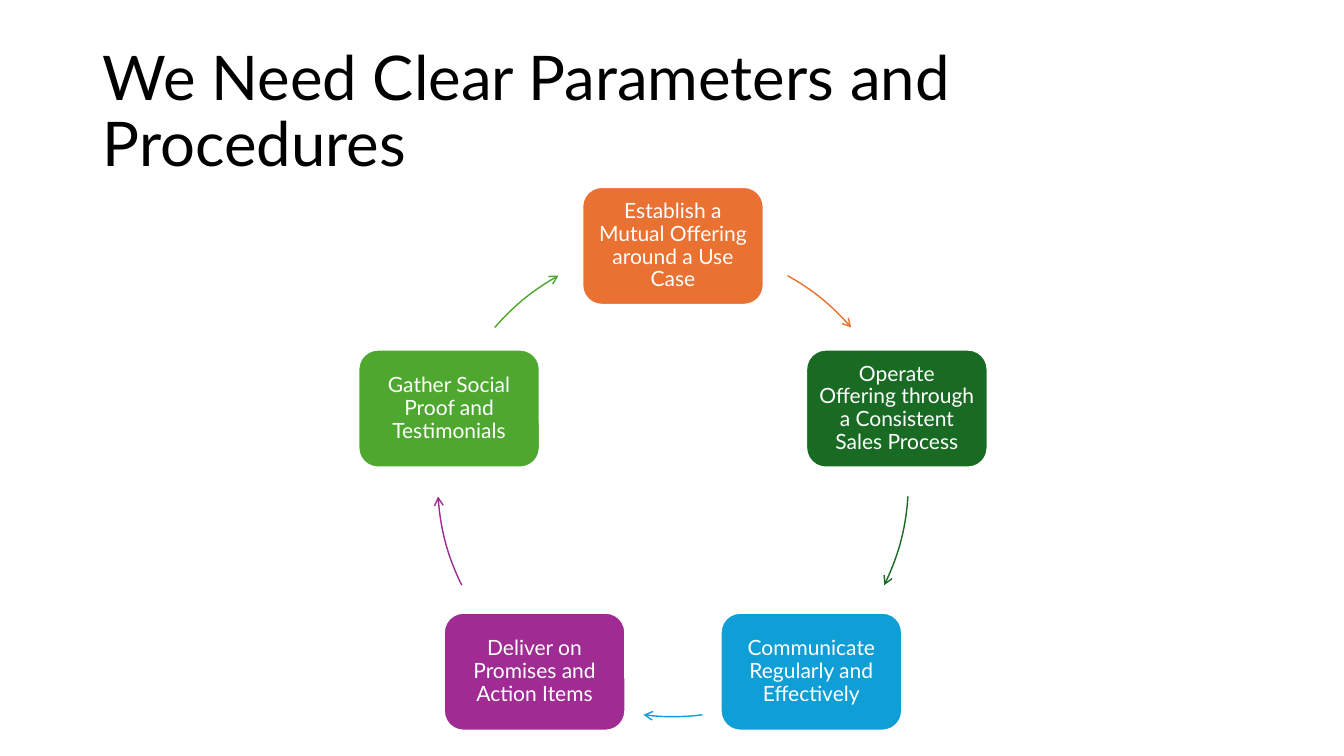
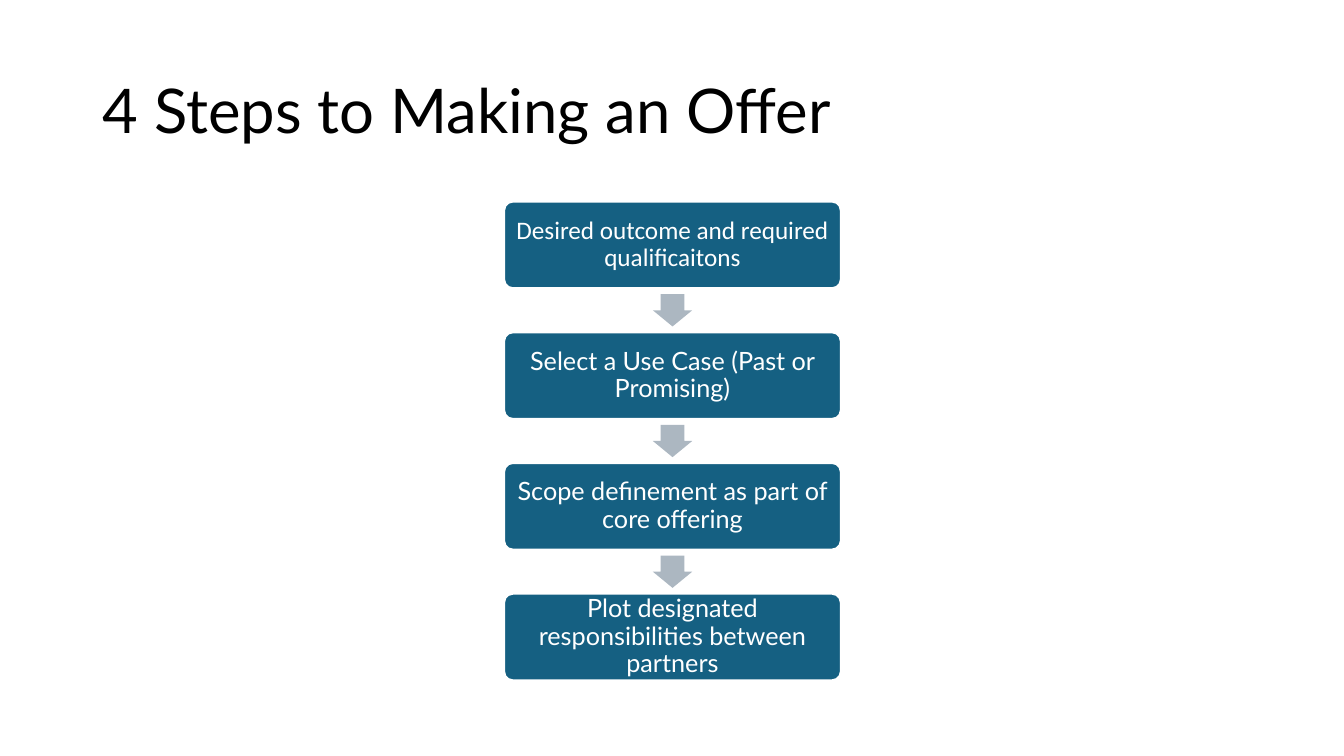
from dataclasses import dataclass
from math import cos, radians, sin

from lxml.etree import SubElement
from pptx import Presentation
from pptx.dml.color import RGBColor
from pptx.enum.shapes import MSO_SHAPE as Preset
from pptx.enum.text import MSO_ANCHOR as Anchor, MSO_AUTO_SIZE as AutoSize, PP_ALIGN as Align
from pptx.oxml.ns import qn
from pptx.util import Inches, Pt


@dataclass(frozen=True)
class Theme:
    font: str = "Lato"
    alternate_font: str = "Calibri"
    ink: str = "000000"
    white: str = "FFFFFF"
    orange: str = "E97132"
    dark_green: str = "196B24"
    blue: str = "0F9ED5"
    purple: str = "A02B93"
    green: str = "4EA72E"
    teal: str = "156082"
    grey: str = "ACB7C1"
    title_size: int = 44
    cycle_size: int = 15
    step_size: int = 18
    line_spacing: float = 0.9
    outline: float = 1.5
    arc_width: float = 1


THEME = Theme()
TITLE_BOX = (0.92, 0.4, 11.5, 1.45)
CYCLE_BOX = (4.34, 2.44, 4.67, 4.67)
STEPS_BOX = (5, 2, 3.34, 4.75)

CYCLE = [
    ("Establish a Mutual Offering around a Use Case", THEME.orange, 29.1, 49.2),
    ("Operate Offering through a Consistent Sales Process", THEME.dark_green, 93.7, 116.2),
    ("Communicate Regularly and Effectively", THEME.blue, 172.8, 187.2),
    ("Deliver on Promises and Action Items", THEME.purple, 243.8, 266.3),
    ("Gather Social Proof and Testimonials", THEME.green, 310.8, 330.9),
]
STEPS = [
    ("Desired outcome and required qualificaitons", THEME.alternate_font),
    ("Select a Use Case (Past or Promising)", THEME.font),
    ("Scope definement as part of core offering", THEME.font),
    ("Plot designated responsibilities between partners", THEME.font),
]


def write_text(shape, text, size, color=THEME.white, font=THEME.font, align=Align.CENTER, inset=None):
    frame = shape.text_frame
    frame.word_wrap = True
    frame.auto_size = AutoSize.NONE
    frame.vertical_anchor = Anchor.MIDDLE
    if inset is not None:
        frame.margin_left = frame.margin_right = Inches(inset)
        frame.margin_top = frame.margin_bottom = Inches(inset)
    paragraph = frame.paragraphs[0]
    paragraph.alignment = align
    paragraph.line_spacing = THEME.line_spacing
    run = paragraph.add_run()
    run.text = text
    run.font.name = font
    run.font.size = Pt(size)
    run.font.color.rgb = RGBColor.from_string(color)


def add_preset(slide, preset, box, fill=None, line=None, line_width=THEME.outline, adjustments=()):
    shape = slide.shapes.add_shape(preset, *map(Inches, box))
    shape.shadow.inherit = False
    for index, value in enumerate(adjustments):
        shape.adjustments[index] = value
    for target, color in ((shape.fill, fill), (shape.line.fill, line)):
        if color:
            target.solid()
            target.fore_color.rgb = RGBColor.from_string(color)
        else:
            target.background()
    if line:
        shape.line.width = Pt(line_width)
    return shape


def add_titled_slide(presentation, text):
    slide = presentation.slides.add_slide(presentation.slide_layouts[5])
    title = slide.shapes.title
    title.left, title.top, title.width, title.height = map(Inches, TITLE_BOX)
    write_text(title, text, THEME.title_size, color=THEME.ink, align=Align.LEFT)
    return slide


def add_arc_arrow(slide, box, start, end, color):
    angles = [(angle - 90) % 360 * 0.6 for angle in (start, end)]
    arc = add_preset(slide, Preset.ARC, box, line=color, line_width=THEME.arc_width, adjustments=angles)
    outline = arc.element.spPr.find(qn("a:ln"))
    SubElement(outline, qn("a:tailEnd"), type="arrow")


def add_cycle(slide, box, items, node_width=1.8, node_height=1.17):
    left, top, width, height = box
    for index, (text, color, start, end) in enumerate(items):
        angle = radians(360 / len(items) * index)
        center_x = left + width / 2 * (1 + sin(angle))
        center_y = top + height / 2 * (1 - cos(angle))
        node_box = (center_x - node_width / 2, center_y - node_height / 2, node_width, node_height)
        node = add_preset(slide, Preset.ROUNDED_RECTANGLE, node_box, fill=color, line=THEME.white)
        write_text(node, text, THEME.cycle_size, inset=0.06)
        add_arc_arrow(slide, box, start, end, color)


def add_steps(slide, box, items, step_height=0.86, arrow_width=0.39, arrow_height=0.32):
    left, top, width, height = box
    pitch = (height - step_height) / (len(items) - 1)
    for index, (text, font) in enumerate(items):
        step_top = top + index * pitch
        step = add_preset(slide, Preset.ROUNDED_RECTANGLE, (left, step_top, width, step_height),
                          fill=THEME.teal, line=THEME.white, adjustments=(0.1,))
        write_text(step, text, THEME.step_size, font=font, inset=0.07)
        if index < len(items) - 1:
            arrow_left = left + (width - arrow_width) / 2
            arrow_top = step_top + (step_height + pitch - arrow_height) / 2
            add_preset(slide, Preset.DOWN_ARROW, (arrow_left, arrow_top, arrow_width, arrow_height),
                       fill=THEME.grey, adjustments=(0.6, 0.5))


def main():
    presentation = Presentation()
    presentation.slide_width = Inches(13.33)
    presentation.slide_height = Inches(7.5)
    cycle_slide = add_titled_slide(presentation, "We Need Clear Parameters and Procedures")
    add_cycle(cycle_slide, CYCLE_BOX, CYCLE)
    steps_slide = add_titled_slide(presentation, "4 Steps to Making an Offer")
    add_steps(steps_slide, STEPS_BOX, STEPS)
    presentation.save("out.pptx")


if __name__ == "__main__":
    main()
